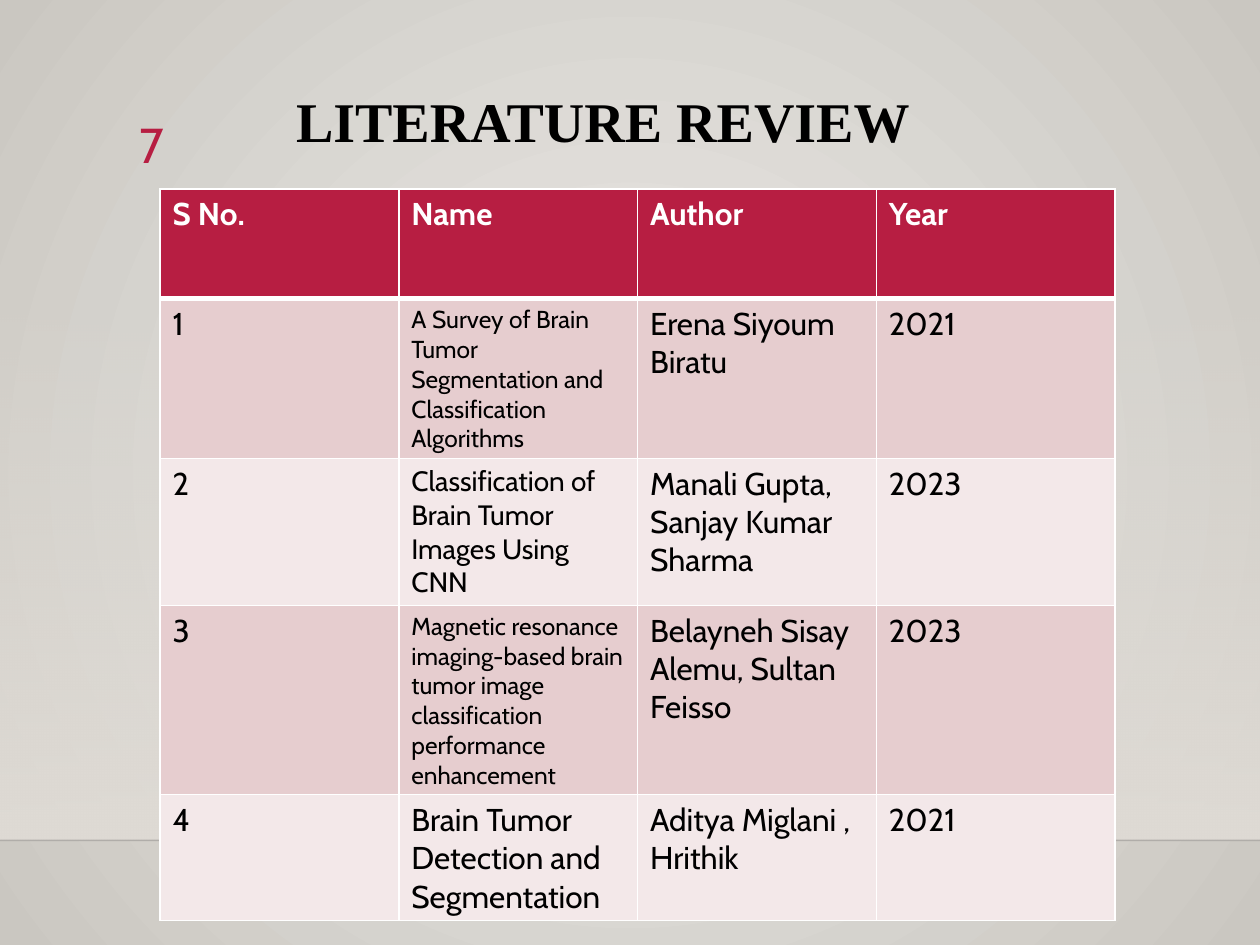
from dataclasses import dataclass

from lxml import etree
from pptx import Presentation
from pptx.dml.color import RGBColor
from pptx.enum.shapes import MSO_CONNECTOR, MSO_SHAPE
from pptx.enum.text import MSO_ANCHOR, PP_ALIGN
from pptx.oxml.ns import qn
from pptx.util import Inches, Pt

RECTANGLE = MSO_SHAPE.RECTANGLE
STRAIGHT = MSO_CONNECTOR.STRAIGHT
LEFT, RIGHT = PP_ALIGN.LEFT, PP_ALIGN.RIGHT
TOP, MIDDLE = MSO_ANCHOR.TOP, MSO_ANCHOR.MIDDLE


@dataclass(frozen=True)
class Theme:
    accent: str = "B71E42"
    black: str = "000000"
    white: str = "FFFFFF"
    odd_row: str = "E6CDCF"
    even_row: str = "F3E8E9"
    glow: str = "ECEAE7"
    edge: str = "CAC7C1"
    wall: str = "DFDBD5"
    floor_line: str = "000001"
    body_font: str = "Cabin"
    title_font: str = "Times New Roman"
    title_size: int = 32
    number_size: int = 28
    body_size: int = 18
    medium_size: int = 16
    small_size: int = 14


THEME = Theme()

HEADINGS = ["S No.", "Name", "Author", "Year"]
# Each paper: name, size of the name, author, year
PAPERS = [
    ("A Survey of Brain Tumor Segmentation and Classification Algorithms",
     THEME.small_size, "Erena Siyoum Biratu", "2021"),
    ("Classification of Brain Tumor Images Using CNN",
     THEME.medium_size, "Manali Gupta, Sanjay Kumar Sharma", "2023"),
    ("Magnetic resonance imaging-based brain tumor image classification "
     "performance enhancement",
     THEME.small_size, "Belayneh Sisay Alemu, Sultan Feisso", "2023"),
    ("Brain Tumor Detection and Segmentation",
     THEME.body_size, "Aditya Miglani , Hrithik", "2021"),
]


def color(value):
    return RGBColor.from_string(value)


def set_alpha(color_element, percent):
    etree.SubElement(color_element, qn("a:alpha"), val=str(percent * 1000))


def set_gradient(fill, first, last):
    fill.gradient()
    for stop, value, position in zip(fill.gradient_stops, (first, last), (0, 1)):
        stop.color.rgb = color(value)
        stop.position = position


def write(frame, text, size=THEME.body_size, font=THEME.body_font,
          ink=THEME.black, bold=False, align=LEFT, spacing=None):
    para = frame.paragraphs[0]
    para.alignment = align
    if spacing:
        para.line_spacing = spacing
    span = para.add_run()
    span.text = text
    span.font.size = Pt(size)
    span.font.name = font
    span.font.bold = bold
    span.font.color.rgb = color(ink)


def add_text(page, box, text, anchor=TOP, indent=0.1, **style):
    frame = page.shapes.add_textbox(*map(Inches, box)).text_frame
    frame.word_wrap = True
    frame.vertical_anchor = anchor
    frame.margin_left = Inches(indent)
    write(frame, text, **style)


def set_border(cell, side, width):
    properties = cell._tc.get_or_add_tcPr()
    line = etree.Element(qn(f"a:ln{side}"), w=str(Pt(width)))
    solid = etree.SubElement(line, qn("a:solidFill"))
    etree.SubElement(solid, qn("a:srgbClr"), val=THEME.white)
    properties.insert("LRTB".index(side), line)


def add_backdrop(page, box):
    left, top, width, height = box
    # Radial glow over the whole page
    fill = page.background.fill
    set_gradient(fill, THEME.glow, THEME.edge)
    linear = next(page.background._cSld.iter(qn("a:lin")))
    radial = etree.Element(qn("a:path"), path="circle")
    etree.SubElement(radial, qn("a:fillToRect"),
                     **{side: "50000" for side in "ltrb"})
    linear.getparent().replace(linear, radial)

    # Wall that fades in downwards
    wall = page.shapes.add_shape(RECTANGLE, *map(Inches, box))
    wall.shadow.inherit = False
    wall.line.fill.background()
    set_gradient(wall.fill, THEME.wall, THEME.wall)
    wall.fill.gradient_angle = 270
    set_alpha(next(wall._element.spPr.iter(qn("a:srgbClr"))), 0)

    # Line where wall and floor meet
    floor = Inches(top + height)
    line = page.shapes.add_connector(
        STRAIGHT, Inches(left), floor, Inches(left + width), floor)
    line.line.width = Pt(1)
    line.line.color.rgb = color(THEME.floor_line)
    properties = line._element.spPr
    set_alpha(next(properties.iter(qn("a:srgbClr"))), 20)
    etree.SubElement(properties, qn("a:effectLst"))


def add_review_table(page, box):
    header_height, row_height = 0.87, 0.72
    rows = [[(heading, THEME.body_size) for heading in HEADINGS]]
    for number, (name, name_size, author, year) in enumerate(PAPERS, 1):
        rows.append([(str(number), THEME.body_size), (name, name_size),
                     (author, THEME.body_size), (year, THEME.body_size)])

    table = page.shapes.add_table(
        len(rows), len(HEADINGS), *map(Inches, box)).table
    for column in table.columns:
        column.width = Inches(box[2] / len(HEADINGS))

    for row_index, row in enumerate(rows):
        is_header = row_index == 0
        table.rows[row_index].height = Inches(
            header_height if is_header else row_height)
        shade = THEME.odd_row if row_index % 2 else THEME.even_row
        for column_index, (text, size) in enumerate(row):
            cell = table.cell(row_index, column_index)
            cell.fill.solid()
            cell.fill.fore_color.rgb = color(THEME.accent if is_header else shade)
            write(cell.text_frame, text, size=size, bold=is_header,
                  ink=THEME.white if is_header else THEME.black)
            for side in "LRTB":
                thick = (is_header and side == "B") or (row_index == 1 and side == "T")
                set_border(cell, side, 3 if thick else 1)


def main():
    deck = Presentation()
    deck.slide_width, deck.slide_height = Inches(10), Inches(7.5)
    page = deck.slides.add_slide(deck.slide_layouts[6])

    add_backdrop(page, (0, 2.2, 10, 4.47))
    # Title and page number
    add_text(page, (1.58, 0.7, 9, 1.25), "LITERATURE REVIEW", indent=0.77,
             size=THEME.title_size, font=THEME.title_font, bold=True, spacing=0.9)
    add_text(page, (0.53, 0.87, 0.87, 0.55), "7", anchor=MIDDLE,
             size=THEME.number_size, ink=THEME.accent, align=RIGHT)
    add_review_table(page, (1.27, 1.5, 7.58, 3.75))

    deck.save("out.pptx")


if __name__ == "__main__":
    main()
